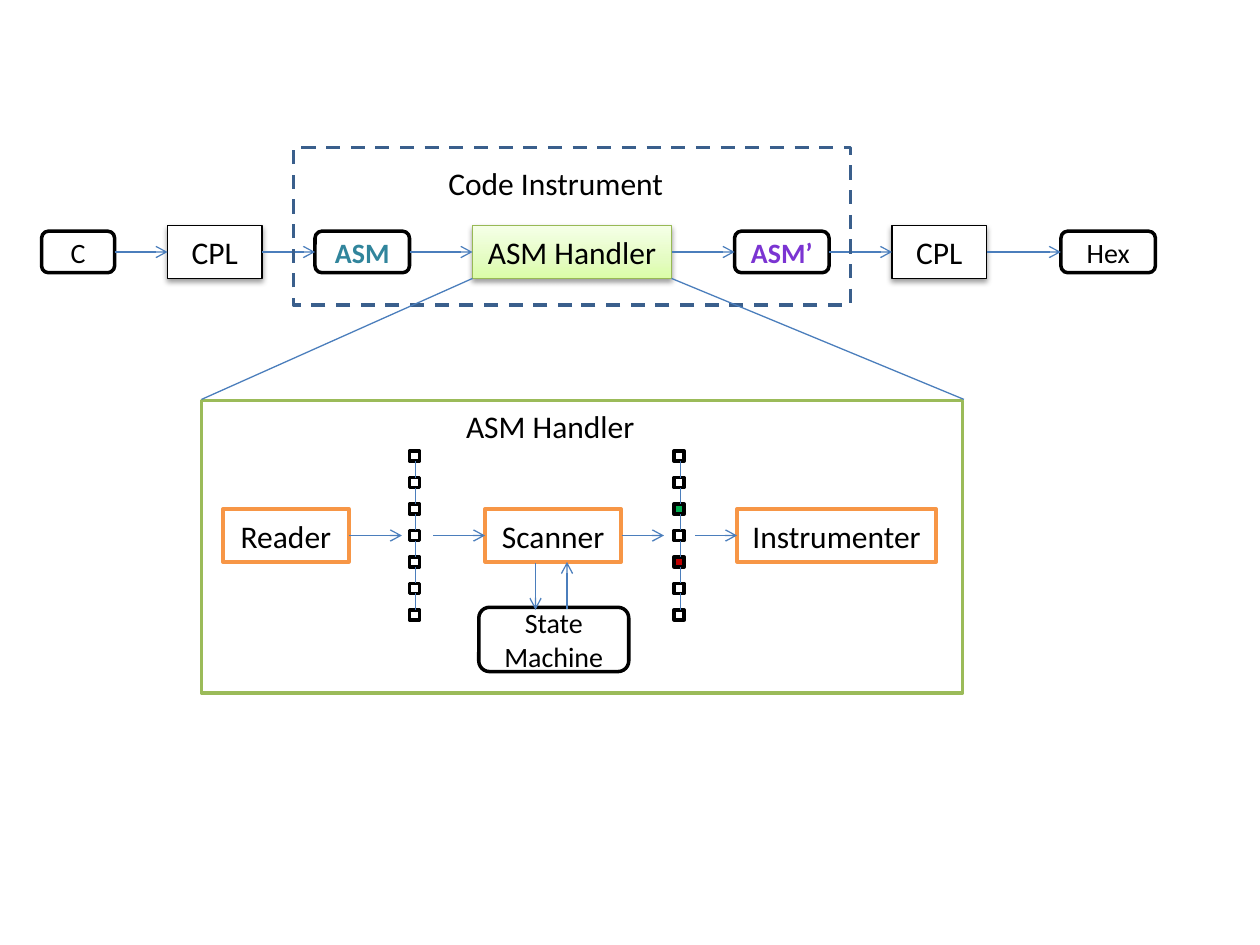
from lxml import etree
from pptx import Presentation
from pptx.dml.color import RGBColor
from pptx.enum.dml import MSO_LINE
from pptx.enum.shapes import MSO_CONNECTOR, MSO_SHAPE
from pptx.enum.text import MSO_ANCHOR, PP_ALIGN
from pptx.oxml import parse_xml
from pptx.oxml.ns import nsdecls, qn
from pptx.util import Inches, Pt

RECT, ROUND = MSO_SHAPE.RECTANGLE, MSO_SHAPE.ROUNDED_RECTANGLE
STRAIGHT = MSO_CONNECTOR.STRAIGHT
CENTER, LEFT = PP_ALIGN.CENTER, PP_ALIGN.LEFT
MIDDLE, TOP = MSO_ANCHOR.MIDDLE, MSO_ANCHOR.TOP
DASH = MSO_LINE.DASH
rgb = RGBColor.from_string
SHADOW = (f'<a:effectLst {nsdecls("a")}><a:outerShdw blurRad="40000" dist="20000" '
          'dir="5400000" rotWithShape="0"><a:srgbClr val="000000">'
          '<a:alpha val="38000"/></a:srgbClr></a:outerShdw></a:effectLst>')

prs = Presentation()
prs.slide_width, prs.slide_height = Inches(10), Inches(7.5)
s = prs.slides.add_slide(prs.slide_layouts[6])


def box(text, x, y, w, h, shape=RECT, fill="FFFFFF", line="000000", width=2, size=18,
        color="000000", bold=False, align=CENTER, anchor=MIDDLE, shadow=False,
        parent=s.shapes):
    sp = parent.add_shape(shape, Inches(x), Inches(y), Inches(w), Inches(h))
    sp.shadow.inherit = False
    if shadow:
        pr = sp.fill._xPr
        pr.replace(pr.find(qn("a:effectLst")), parse_xml(SHADOW))
    if fill:
        sp.fill.solid()
        sp.fill.fore_color.rgb = rgb(fill)
    else:
        sp.fill.background()
    sp.line.color.rgb = rgb(line)
    sp.line.width = Pt(width)
    if text:
        tf = sp.text_frame
        tf.word_wrap = True
        tf.vertical_anchor = anchor
        p = tf.paragraphs[0]
        p.alignment = align
        r = p.add_run()
        r.text = text
        r.font.name, r.font.size, r.font.bold = "Calibri", Pt(size), bold
        r.font.color.rgb = rgb(color)
    return sp


def connect(x1, y1, x2, y2, arrow=True, parent=s.shapes):
    c = parent.add_connector(STRAIGHT, Inches(x1), Inches(y1), Inches(x2), Inches(y2))
    c.line.color.rgb = rgb("4B7EBC")
    c.line.width = Pt(0.75)
    if arrow:
        etree.SubElement(c.line._get_or_add_ln(), qn("a:tailEnd"), type="arrow")
    etree.SubElement(c._element.spPr, qn("a:effectLst"))


# Tool chain: files are rounded, tools are square with a shadow
chain_y = 2
chain = [("C", 0.33, 0.58, False), ("CPL", 1.33, 0.75, True),
         ("ASM", 2.5, 0.75, False), ("ASM Handler", 3.75, 1.58, True),
         ("ASM’", 5.83, 0.75, False), ("CPL", 7.08, 0.75, True),
         ("Hex", 8.42, 0.75, False)]
accents = {"ASM": "31859C", "ASM’": "7B34D2"}
nodes = {}
for text, x, w, tool in chain:
    h = 0.42 if tool else 0.33
    nodes[text] = box(text, x, chain_y - h / 2, w, h, shape=RECT if tool else ROUND,
                      width=0.75 if tool else 2, size=18 if tool else 16,
                      color=accents.get(text, "000000"), bold=text in accents,
                      shadow=tool)
for (_, x, w, _), (_, next_x, _, _) in zip(chain, chain[1:]):
    connect(x + w, chain_y, next_x, chain_y)

# Outlined letters of the two assembly files
for text in accents:
    rPr = nodes[text].text_frame.paragraphs[0].runs[0].font._element
    rPr.insert(0, parse_xml(f'<a:ln {nsdecls("a")} w="9000"><a:solidFill>'
                            '<a:srgbClr val="5E457C"/></a:solidFill></a:ln>'))

# Gradients of the handler box and of the ASM’ letters
handler = nodes["ASM Handler"]
handler.line.color.rgb = rgb("98B955")
prime_font = nodes["ASM’"].text_frame.paragraphs[0].runs[0].font
for pr, angle, stops in [
        (handler.fill._xPr, 270, [(0, "DAFDA7"), (35, "E4FCC2"), (100, "F5FFE7")]),
        (prime_font._element, 90, [(0, "3D1B67"), (43, "7B34D2"), (48, "7330C4"),
                                   (100, "3D1B67")])]:
    gs = "".join(f'<a:gs pos="{pos * 1000}"><a:srgbClr val="{c}"/></a:gs>'
                 for pos, c in stops)
    pr.replace(pr.find(qn("a:solidFill")), parse_xml(
        f'<a:gradFill {nsdecls("a")} rotWithShape="1"><a:gsLst>{gs}</a:gsLst>'
        f'<a:lin ang="{angle * 60000}" scaled="0"/></a:gradFill>'))

# Frames
frame = box("", 2.33, 1.17, 4.42, 1.25, fill=None, line="3A5F8C")
frame.line.dash_style = DASH
box("", 1.6, 3.18, 6.04, 2.32, fill=None, line="9BBB59")

# Frame captions
for text, x, y, w, h in [("Code Instrument", 3.46, 1.25, 2.17, 0.42),
                         ("ASM Handler", 3.6, 3.18, 1.58, 0.4)]:
    caption = box(text, x, y, w, h, fill=None, align=LEFT, anchor=TOP)
    caption.line.fill.background()

# Zoom lines from the handler to its details
for x1, x2 in [(3.75, 1.6), (5.33, 7.65)]:
    connect(x1, 2.21, x2, 3.17, arrow=False)

# Token lists
side, pitch = 0.08, 0.21
for x, marks in [(3.25, {}), (5.35, {2: "00B050", 4: "C00000"})]:
    tokens = s.shapes.add_group_shape().shapes
    for i in range(7):
        y = 3.58 + i * pitch
        box("", x, y, side, side, fill=marks.get(i, "FFFFFF"), parent=tokens)
        if i:
            connect(x + 0.05, y - pitch + side, x + 0.05, y, arrow=False, parent=tokens)

# Handler stages
for text, x, w in [("Reader", 1.77, 1), ("Scanner", 3.85, 1.08),
                   ("Instrumenter", 5.85, 1.58)]:
    box(text, x, 4.04, w, 0.42, line="F79646")
for x1, x2 in [(2.77, 3.19), (3.44, 3.85), (4.94, 5.27), (5.52, 5.85)]:
    connect(x1, 4.25, x2, 4.25)

# State machine
box("State Machine", 3.8, 4.82, 1.19, 0.51, shape=ROUND, size=16)
connect(4.25, 4.47, 4.25, 4.84)
connect(4.5, 4.83, 4.5, 4.46)

prs.save("out.pptx")
